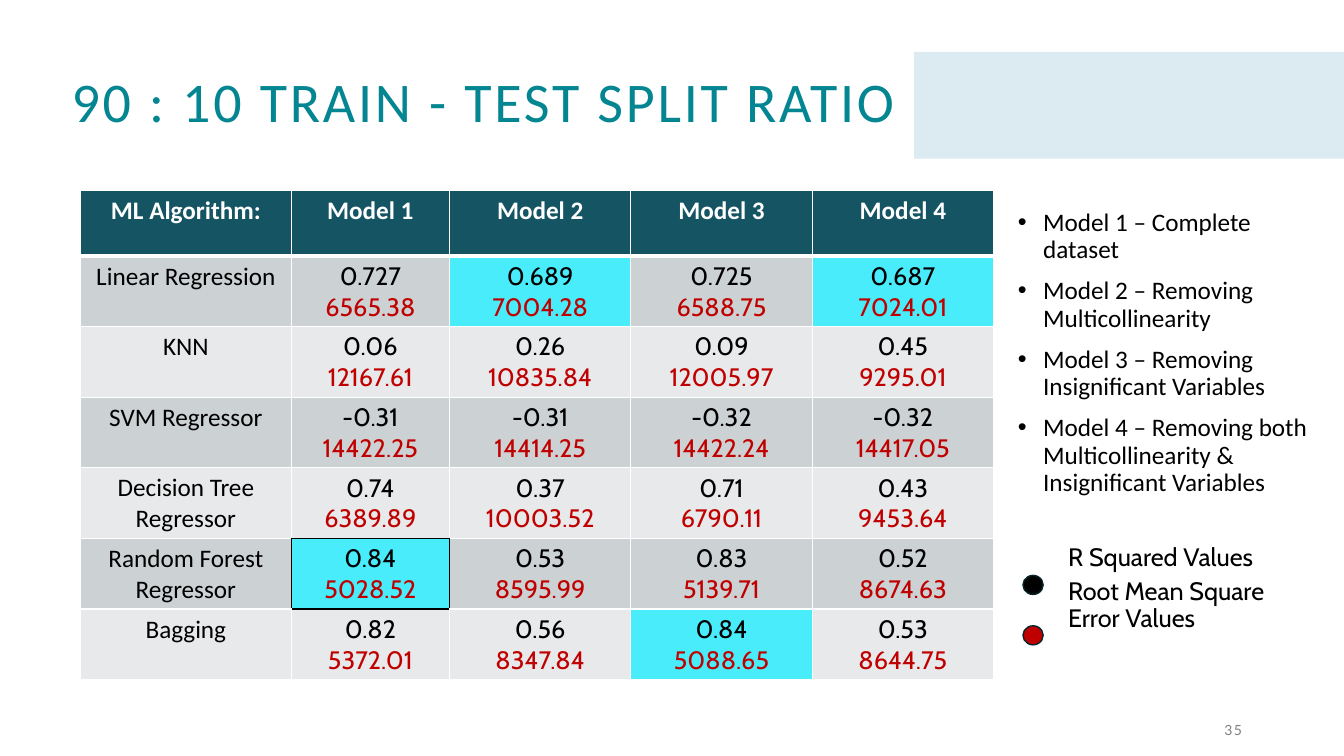
from dataclasses import dataclass
from lxml.etree import SubElement as Sub
from pptx import Presentation
from pptx.dml.color import RGBColor as Rgb
from pptx.enum.shapes import MSO_SHAPE as Form
from pptx.enum.text import MSO_ANCHOR as Anchor, MSO_AUTO_SIZE as Auto, PP_ALIGN as Align
from pptx.oxml.ns import qn
from pptx.util import Cm, Pt

TITLE = "90 : 10 TRAIN - TEST SPLIT RATIO"
PAGE = "35"
HEAD = ["ML Algorithm:", "Model 1", "Model 2", "Model 3", "Model 4"]
# Each score is (R squared, root mean square error)
ROWS = [
    ("Linear Regression", ("0.727", "6565.38"), ("0.689", "7004.28"),
     ("0.725", "6588.75"), ("0.687", "7024.01")),
    ("KNN", ("0.06", "12167.61"), ("0.26", "10835.84"),
     ("0.09", "12005.97"), ("0.45", "9295.01")),
    ("SVM Regressor", ("-0.31", "14422.25"), ("-0.31", "14414.25"),
     ("-0.32", "14422.24"), ("-0.32", "14417.05")),
    ("Decision Tree Regressor", ("0.74", "6389.89"), ("0.37", "10003.52"),
     ("0.71", "6790.11"), ("0.43", "9453.64")),
    ("Random Forest Regressor", ("0.84", "5028.52"), ("0.53", "8595.99"),
     ("0.83", "5139.71"), ("0.52", "8674.63")),
    ("Bagging", ("0.82", "5372.01"), ("0.56", "8347.84"),
     ("0.84", "5088.65"), ("0.53", "8644.75")),
]
MARKED = {(1, 2), (1, 4), (5, 1), (6, 3)}
BEST = (5, 1)
MODELS = [
    "Model 1 – Complete dataset",
    "Model 2 – Removing Multicollinearity",
    "Model 3 – Removing Insignificant Variables",
    "Model 4 – Removing both Multicollinearity & Insignificant Variables",
]
LEGEND = ["R Squared Values", "Root Mean Square Error Values"]
WIDTHS = [5.31, 3.99, 4.57, 4.57, 4.57]
ROW_H = 1.65


@dataclass(frozen=True)
class Theme:
    body: str = "Calibri"
    score: str = "Cabin"
    small: str = "Lato"
    title: str = "038692"
    head: str = "155463"
    band: str = "DCEAF1"
    odd: str = "CCD1D3"
    even: str = "E8E9EA"
    mark: str = "48ECFB"
    ring: str = "09252B"
    black: str = "000000"
    red: str = "C00000"
    white: str = "FFFFFF"
    grey: str = "808080"
    big: int = 40
    text: int = 18
    tiny: int = 10


T = Theme()


def write(frame, lines, hues=(T.black,), font=T.body, size=T.text, bold=False,
          align=Align.LEFT, lead=None, gap=0, track=0, bullet=False):
    """Fill a text frame, one paragraph a line; hues are used in turn."""
    frame.word_wrap = True
    for i, line in enumerate(lines):
        par = frame.add_paragraph() if i else frame.paragraphs[0]
        if bullet:
            props = par._p.get_or_add_pPr()
            props.set("marL", str(Cm(0.64)))
            props.set("indent", str(-Cm(0.64)))
            Sub(props, qn("a:buFont"), typeface="Arial")
            Sub(props, qn("a:buChar"), char="•")
        par.alignment = align
        if lead:
            par.line_spacing = lead
        if i and gap:
            par.space_before = Pt(gap)
        run = par.add_run()
        run.text = line
        face = run.font
        face.name, face.size, face.bold = font, Pt(size), bold
        face.color.rgb = Rgb.from_string(hues[i % len(hues)])
        if track:
            run._r.get_or_add_rPr().set("spc", str(track * 100))


def label(slide, box, lines, **form):
    frame = slide.shapes.add_textbox(*map(Cm, box)).text_frame
    write(frame, lines, **form)
    return frame


def solid(slide, form, box, fill, line=None):
    shape = slide.shapes.add_shape(form, *map(Cm, box))
    shape.shadow.inherit = False
    shape.fill.solid()
    shape.fill.fore_color.rgb = Rgb.from_string(fill)
    if line:
        shape.line.color.rgb = Rgb.from_string(line)
        shape.line.width = Pt(1)
    else:
        shape.line.fill.background()
    return shape


def edges(cell, row, col):
    """Border a cell: white, with a thick rule under the head and black round the best."""
    near = {"L": (row, col - 1), "R": (row, col + 1),
            "T": (row - 1, col), "B": (row + 1, col)}
    for side, spot in near.items():
        thick = (side, row) in (("B", 0), ("T", 1))
        hue = T.black if BEST in (spot, (row, col)) else T.white
        line = Sub(cell._tc.get_or_add_tcPr(), qn("a:ln" + side),
                   w=str(Pt(3 if thick else 1)))
        Sub(Sub(line, qn("a:solidFill")), qn("a:srgbClr"), val=hue)


def shade(row, col):
    if row == 0:
        return T.head
    if (row, col) in MARKED:
        return T.mark
    return T.odd if row % 2 else T.even


def scores(slide):
    data = [HEAD, *ROWS]
    table = slide.shapes.add_table(
        len(data), len(HEAD), Cm(2.03), Cm(4.8),
        Cm(sum(WIDTHS)), Cm(ROW_H * len(data))).table
    for col, width in enumerate(WIDTHS):
        table.columns[col].width = Cm(width)
    for row, items in enumerate(data):
        table.rows[row].height = Cm(ROW_H)
        for col, item in enumerate(items):
            cell = table.cell(row, col)
            edges(cell, row, col)
            cell.fill.solid()
            cell.fill.fore_color.rgb = Rgb.from_string(shade(row, col))
            pair = isinstance(item, tuple)
            write(cell.text_frame, item if pair else [item],
                  hues=(T.black, T.red) if row else (T.white,),
                  font=T.score if pair else T.body,
                  bold=row == 0, align=Align.CENTER)


def main():
    deck = Presentation()
    deck.slide_width, deck.slide_height = Cm(33.87), Cm(19.05)
    slide = deck.slides.add_slide(deck.slide_layouts[5])

    band = solid(slide, Form.RECTANGLE, (23.04, 1.31, 10.83, 2.69), T.band)
    slide.shapes._spTree.insert(2, band._element)

    title = slide.shapes.title
    title.left, title.top, title.width, title.height = map(Cm, (1.55, 1.75, 30.76, 1.85))
    frame = title.text_frame
    frame.auto_size, frame.vertical_anchor = Auto.NONE, Anchor.MIDDLE
    write(frame, [TITLE], hues=(T.title,), size=T.big, lead=0.8, track=2)

    label(slide, (25.4, 5.16, 8, 7.5), MODELS, lead=0.9, gap=10, bullet=True)
    label(slide, (26.67, 13.59, 6.73, 2.5), LEGEND, font=T.score, lead=0.9, gap=5)
    for i, hue in enumerate((T.black, T.red)):
        solid(slide, Form.OVAL, (25.78, 14.5 + 1.27 * i, 0.51, 0.48), hue, T.ring)
    scores(slide)

    page = label(slide, (23.93, 18.11, 7.62, 0.56), [PAGE], hues=(T.grey,),
                 font=T.small, size=T.tiny, align=Align.RIGHT, track=1)
    page.vertical_anchor = Anchor.MIDDLE
    deck.save("out.pptx")


if __name__ == "__main__":
    main()
